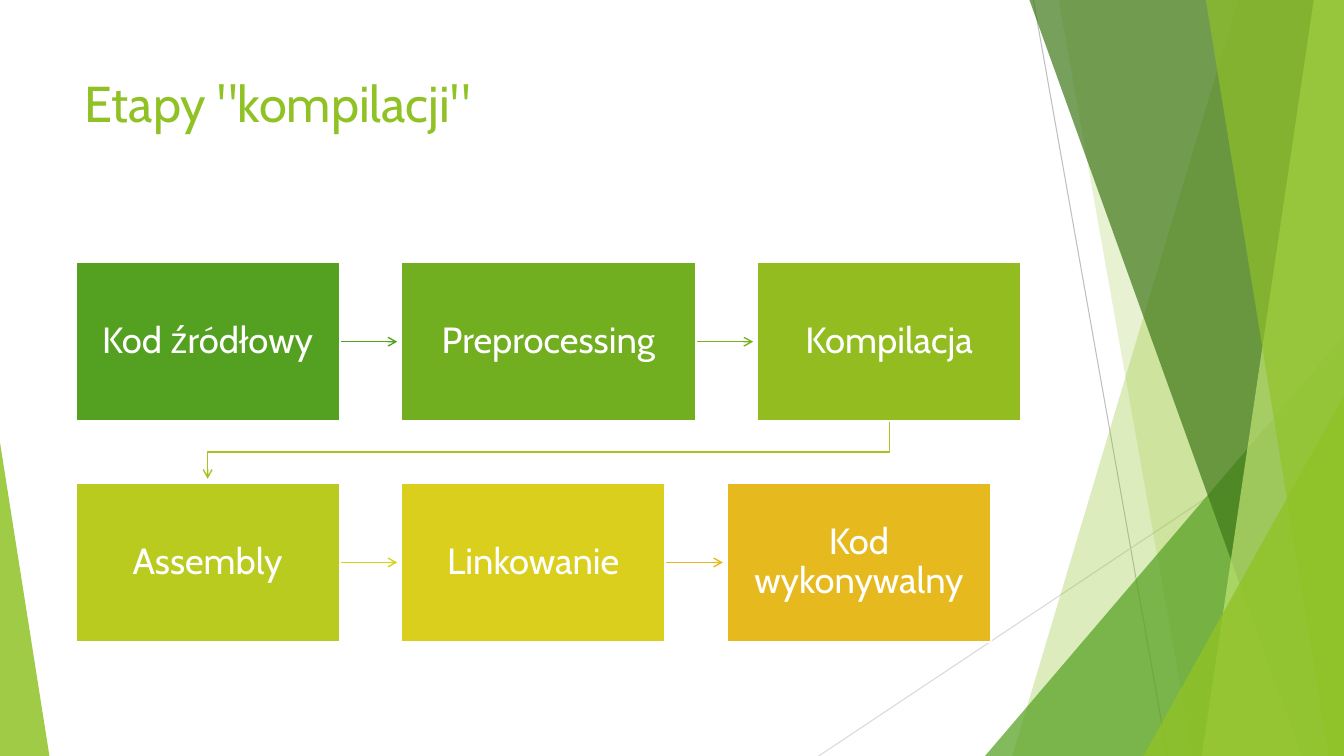
from lxml.etree import SubElement
from pptx import Presentation
from pptx.dml.color import RGBColor
from pptx.enum.shapes import MSO_CONNECTOR as Link, MSO_SHAPE as Preset
from pptx.enum.text import MSO_ANCHOR as Anchor, PP_ALIGN as Align
from pptx.oxml.ns import qn
from pptx.util import Inches, Pt

# Content: stages as (label, fill, colour of the arrow that leaves it, width)
WIDTH, HEIGHT = 13.33, 7.5
FONT = "Cabin"
TITLE = 'Etapy "kompilacji"'
COLORS = {
    "white": "FFFFFF", "lime": "90C226", "green": "54A021", "forest": "3F7819",
    "pale": "C0E474", "grey": "BFBFBF", "mist": "D9D9D9", "leaf": "71AE20",
    "leaf_arrow": "79B220", "moss": "92BC1F", "moss_arrow": "A5C41F",
    "citrus": "B9CB1E", "citrus_arrow": "D7D31D", "yellow": "DACF1C",
    "amber": "E6B91E",
}
STAGE_ROWS = [
    [("Kod źródłowy", "green", "green", 2.62),
     ("Preprocessing", "leaf", "leaf_arrow", 2.92),
     ("Kompilacja", "moss", "moss_arrow", 2.62)],
    [("Assembly", "citrus", "citrus_arrow", 2.62),
     ("Linkowanie", "yellow", "amber", 2.62),
     ("Kod wykonywalny", "amber", None, 2.62)],
]
GRID_LEFT, GRID_TOP, ROW_STEP = 0.75, 2.6, 2.19
BOX_HEIGHT, GAP, ARROW_GAP = 1.58, 0.61, 0.04

# Decoration, back to front
THIN_LINES = [((10.25, 0), (11.58, HEIGHT), "grey"),
              ((WIDTH, 4.03), (8.12, HEIGHT), "mist")]
# Bands reach the right edge: (top x, bottom x, colour, opacity)
# Triangles stand on the bottom edge: (left, top, width, apex, colour, opacity)
DECORATION = [
    (12.28, 10.04, "lime", 30),
    (10.5, 11.83, "lime", 20),
    (9.77, 3.33, 3.56, 1, "green", 72),
    (10.21, 12.91, "forest", 70),
    (13.03, 11.92, "pale", 70),
    (11.96, 13.18, "lime", 65),
    (11.34, 3.93, 1.99, 1, "lime", 80),
    (0, 4.39, 0.49, 0, "lime", 85),
]


def rgb(name):
    return RGBColor.from_string(COLORS[name])


def set_values(target, values):
    for name, value in values.items():
        setattr(target, name, value)


def paint(shape, color, opacity=100):
    shape.shadow.inherit = False
    shape.fill.solid()
    shape.fill.fore_color.rgb = rgb(color)
    if opacity < 100:
        for tint in shape.fill._xPr.iter(qn("a:srgbClr")):
            SubElement(tint, qn("a:alpha"), val=str(opacity * 1000))
    shape.line.fill.background()


def outline(shape, color, points, arrow=False):
    shape.line.color.rgb = rgb(color)
    shape.line.width = Pt(points)
    if arrow:
        SubElement(shape.line._get_or_add_ln(), qn("a:tailEnd"), type="arrow")


def add_path(page, points, close):
    corners = [(Inches(x), Inches(y)) for x, y in points]
    builder = page.shapes.build_freeform(*corners[0], scale=1.0)
    builder.add_line_segments(corners[1:], close=close)
    return builder.convert_to_shape()


def add_line(page, start, end, color, points, arrow=False):
    ends = [Inches(value) for value in (*start, *end)]
    line = page.shapes.add_connector(Link.STRAIGHT, *ends)
    outline(line, color, points, arrow)
    SubElement(line._element.spPr, qn("a:effectLst"))


def write(frame, text, size, color, align):
    para = frame.paragraphs[0]
    para.alignment = align
    span = para.add_run()
    span.text = text
    set_values(span.font, {"name": FONT, "size": Pt(size)})
    span.font.color.rgb = rgb(color)
    return para


def add_decoration(page):
    for start, end, color in THIN_LINES:
        add_line(page, start, end, color, 0.75)
    for *place, color, opacity in DECORATION:
        if len(place) == 2:
            top_x, bottom_x = place
            shape = add_path(page, [(top_x, 0), (WIDTH, 0), (WIDTH, HEIGHT),
                                    (bottom_x, HEIGHT)], True)
        else:
            left, top, width, apex = place
            shape = page.shapes.add_shape(
                Preset.ISOSCELES_TRIANGLE, Inches(left), Inches(top),
                Inches(width), Inches(HEIGHT - top))
            shape.adjustments[0] = apex
        paint(shape, color, opacity)


def add_title(page):
    title = page.shapes.title
    set_values(title, {"left": Inches(0.74), "top": Inches(0.67),
                       "width": Inches(9.4), "height": Inches(1.44)})
    title.text_frame.vertical_anchor = Anchor.TOP
    write(title.text_frame, TITLE, 36, "lime", Align.LEFT)


def add_stage(page, label, color, left, top, width):
    box = page.shapes.add_shape(Preset.RECTANGLE, Inches(left), Inches(top),
                                Inches(width), Inches(BOX_HEIGHT))
    paint(box, color)
    outline(box, "white", 1.5)
    inset = Inches(0.2)
    set_values(box.text_frame, {
        "word_wrap": True, "vertical_anchor": Anchor.MIDDLE,
        "margin_left": inset, "margin_right": inset,
        "margin_top": inset, "margin_bottom": inset})
    para = write(box.text_frame, label, 26, "white", Align.CENTER)
    para.line_spacing = 0.9


def add_flow(page):
    for row, stages in enumerate(STAGE_ROWS):
        left, top = GRID_LEFT, GRID_TOP + row * ROW_STEP
        for column, (label, fill, arrow, width) in enumerate(stages):
            right, middle = left + width, top + BOX_HEIGHT / 2
            if column < len(stages) - 1:
                add_line(page, (right, middle),
                         (right + GAP - ARROW_GAP, middle), arrow, 1, True)
            elif arrow:
                # Bent arrow down to the first stage of the next row
                start_x, bottom = left + width / 2, top + BOX_HEIGHT
                end_x = GRID_LEFT + STAGE_ROWS[row + 1][0][3] / 2
                turn = (bottom + top + ROW_STEP) / 2
                bend = add_path(page, [
                    (start_x, bottom), (start_x, turn), (end_x, turn),
                    (end_x, top + ROW_STEP - ARROW_GAP)], False)
                bend.shadow.inherit = False
                bend.fill.background()
                outline(bend, arrow, 1, True)
            add_stage(page, label, fill, left, top, width)
            left = right + GAP


def main():
    deck = Presentation()
    set_values(deck, {"slide_width": Inches(WIDTH),
                      "slide_height": Inches(HEIGHT)})
    page = deck.slides.add_slide(deck.slide_layouts.get_by_name("Title Only"))
    add_decoration(page)
    add_title(page)
    add_flow(page)
    deck.save("out.pptx")


if __name__ == "__main__":
    main()
